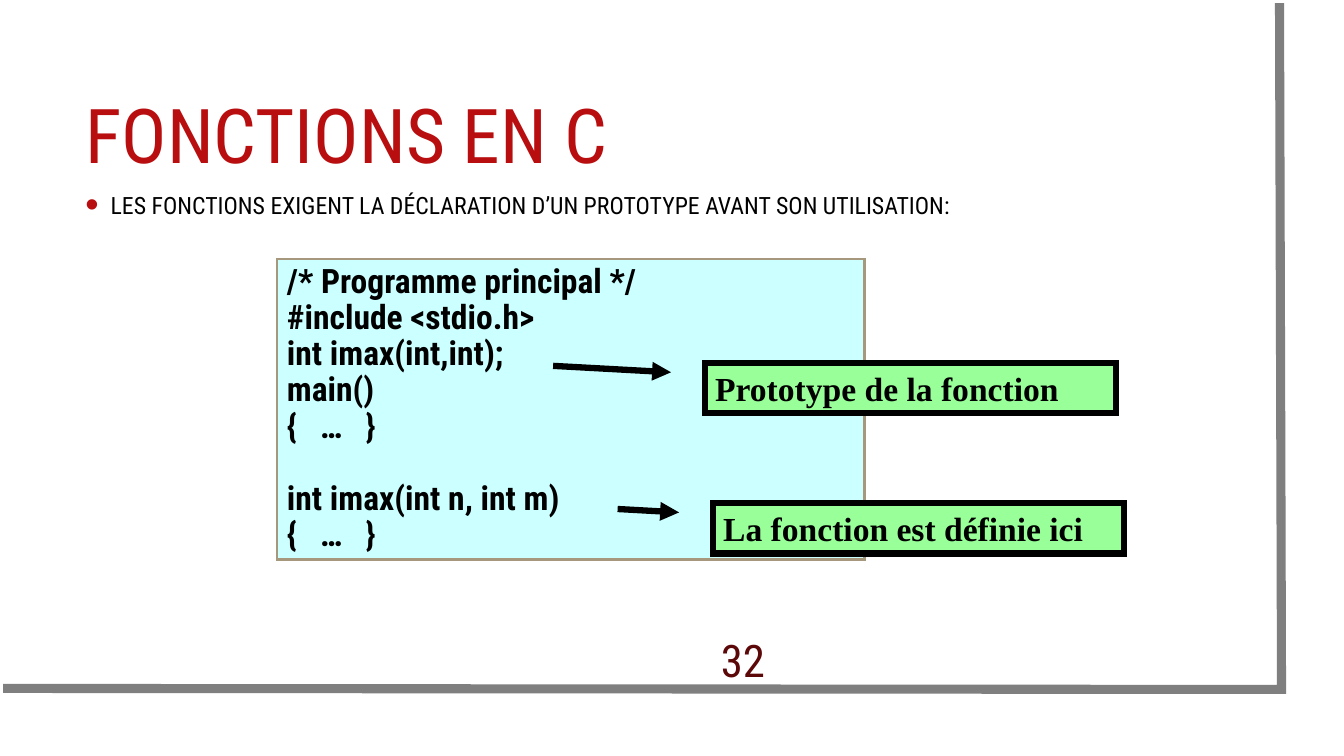
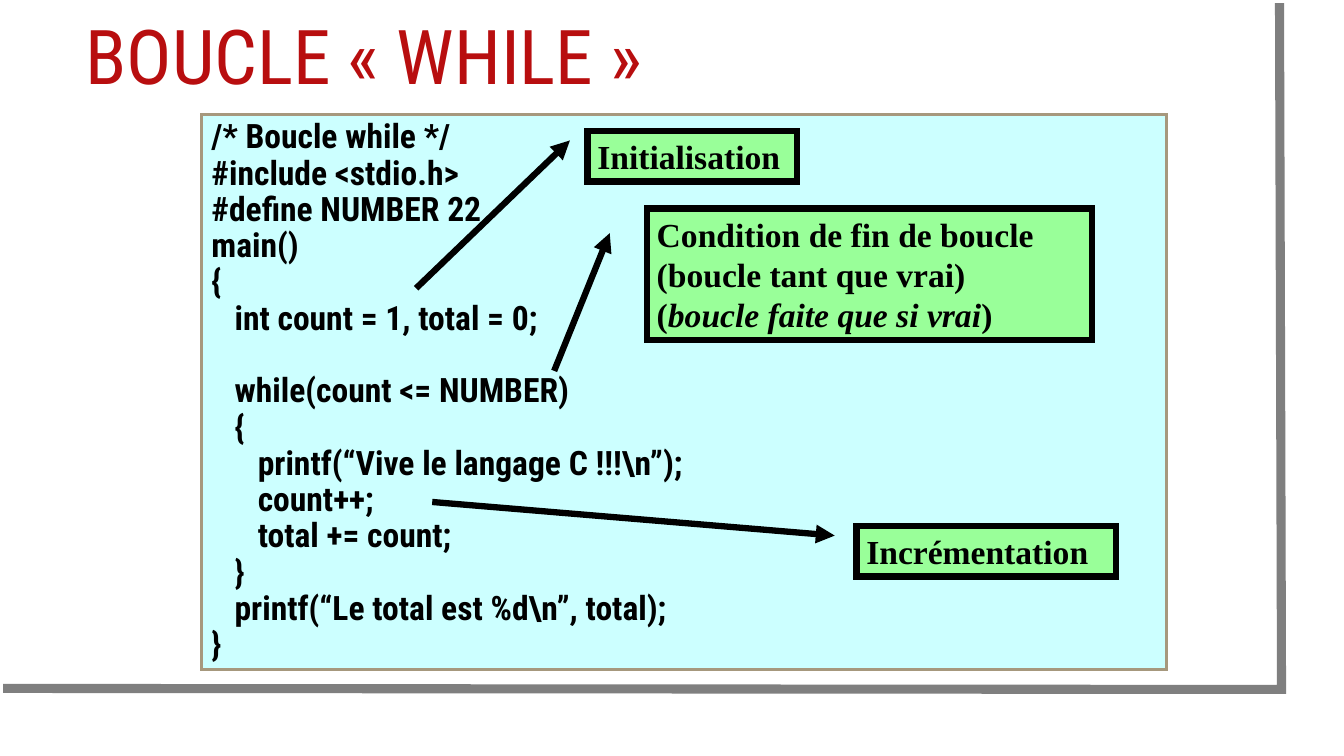
import pptx
import pptx.dml.color
import pptx.enum.shapes
import pptx.enum.text
import pptx.oxml.ns
import pptx.util
from lxml import etree

SCALE = 9144
COLORS = {
    "title": "B80E0F",
    "number": "5C0708",
    "text": "000000",
    "frame": "7F7F7F",
    "code_fill": "CCFFFF",
    "code_line": "A6987D",
    "note_fill": "99FF99",
}
SANS = "Roboto Condensed"
SERIF = "Times New Roman"
SHAPES = pptx.enum.shapes.MSO_SHAPE
ALIGN = pptx.enum.text.PP_ALIGN
ANCHOR = pptx.enum.text.MSO_ANCHOR


def px(*values):
    return [v * SCALE for v in values]


def rgb(name):
    return pptx.dml.color.RGBColor.from_string(COLORS[name])


def add_xml(parent, tag, **attrs):
    return etree.SubElement(parent, pptx.oxml.ns.qn(tag), **attrs)


class Deck:
    def __init__(self, width, height):
        self.prs = pptx.Presentation()
        self.prs.slide_width, self.prs.slide_height = px(width, height)
        self.s = None

    def slide(self, title, title_top):
        self.s = self.prs.slides.add_slide(self.prs.slide_layouts[6])
        builder = self.s.shapes.build_freeform(1270, 3, scale=SCALE)
        builder.add_line_segments([(1272, 684), (3, 683)], close=False)
        self.style(builder.convert_to_shape(), None, "frame", 6.5)
        self.text((75, title_top, 1137, 126), title, 54, "title", spacing=0.9)

    def style(self, sp, fill, line, width):
        sp.shadow.inherit = False
        if fill:
            sp.fill.solid()
            sp.fill.fore_color.rgb = rgb(fill)
        else:
            sp.fill.background()
        sp.line.color.rgb = rgb(line)
        sp.line.width = pptx.util.Pt(width)
        ln = sp._element.spPr.find(pptx.oxml.ns.qn("a:ln"))
        add_xml(ln, "a:miter", lim="800000")
        return ln

    def fill_text(self, sp, paragraphs, size, color="text", font=SANS, bold=False,
                  spacing=1.0, align=ALIGN.LEFT, anchor=ANCHOR.TOP, bullet=False):
        tf = sp.text_frame
        tf.word_wrap = True
        tf.vertical_anchor = anchor
        for i, runs in enumerate(paragraphs):
            p = tf.add_paragraph() if i else tf.paragraphs[0]
            p.alignment = align
            p.line_spacing = spacing
            if bullet:
                self.bullet(p)
            p.font.name = font
            p.font.size = pptx.util.Pt(size)
            p.font.bold = bold
            p.font.color.rgb = rgb(color)
            for text, italic in runs:
                r = p.add_run()
                r.text = text
                if italic:
                    r.font.italic = True
            if not runs:
                add_xml(p._p, "a:endParaRPr", sz=str(size * 100))

    def bullet(self, p):
        indent = 25 * SCALE
        pPr = p._p.get_or_add_pPr()
        pPr.set("marL", str(indent))
        pPr.set("indent", str(-indent))
        add_xml(add_xml(pPr, "a:buClr"), "a:srgbClr", val=COLORS["title"])
        add_xml(pPr, "a:buSzPct", val="160000")
        add_xml(pPr, "a:buFont", typeface="Arial")
        add_xml(pPr, "a:buChar", char="•")

    def text(self, box, text, size, color="text", **style):
        sp = self.s.shapes.add_textbox(*px(*box))
        self.fill_text(sp, [[(text, False)]], size, color, anchor=ANCHOR.MIDDLE, **style)

    def code(self, box, source):
        sp = self.s.shapes.add_shape(SHAPES.RECTANGLE, *px(*box))
        self.style(sp, "code_fill", "code_line", 2)
        lines = [[(line, False)] if line else [] for line in source.split("\n")]
        self.fill_text(sp, lines, 24, bold=True, spacing=0.9)

    def callout(self, box, tail, *paragraphs):
        left, top, width, height = box
        sp = self.s.shapes.add_shape(SHAPES.LINE_CALLOUT_1, *px(*box))
        sp.adjustments[2] = (tail[1] - top) / height
        sp.adjustments[3] = (tail[0] - left) / width
        ln = self.style(sp, "note_fill", "text", 4.5)
        add_xml(ln, "a:headEnd", type="triangle")
        self.fill_text(sp, paragraphs, 24, font=SERIF, bold=True)


PROTOTYPE_CODE = """/* Programme principal */
#include <stdio.h>
int imax(int,int);
main()
{   …   }

int imax(int n, int m)
{   …   }"""

WHILE_CODE = r"""/* Boucle while */
#include <stdio.h>
#define NUMBER 22
main()
{
   int count = 1, total = 0;

   while(count <= NUMBER)
   {
      printf(“Vive le langage C !!!\n”);
      count++;
      total += count;
   }
   printf(“Le total est %d\n”, total);
}"""


def main():
    deck = Deck(1334, 750)

    deck.slide("FONCTIONS EN C", 75)
    deck.text((75, 176, 1120, 51),
              "LES FONCTIONS EXIGENT LA DÉCLARATION D’UN PROTOTYPE AVANT SON UTILISATION:",
              17, spacing=1.1, bullet=True)
    deck.text((688, 627, 99, 54), "32", 32, "number", align=ALIGN.CENTER)
    deck.code((275, 257, 583, 298), PROTOTYPE_CODE)
    deck.callout((700, 360, 408, 50), (549, 363), [("Prototype de la fonction", False)])
    deck.callout((708, 499, 408, 50), (613, 505), [("La fonction est définie ici", False)])

    deck.slide("BOUCLE « WHILE »", -3)
    deck.code((200, 114, 958, 550), WHILE_CODE)
    deck.callout((583, 130, 208, 50), (413, 286), [("Initialisation", False)])
    deck.callout((642, 207, 442, 130), (550, 368),
                 [("Condition de fin de boucle (boucle tant que vrai)", False)],
                 [("(", False), ("boucle faite que si vrai", True), (")", False)])
    deck.callout((850, 522, 258, 50), (429, 498), [("Incrémentation", False)])

    deck.prs.save("out.pptx")


if __name__ == "__main__":
    main()
